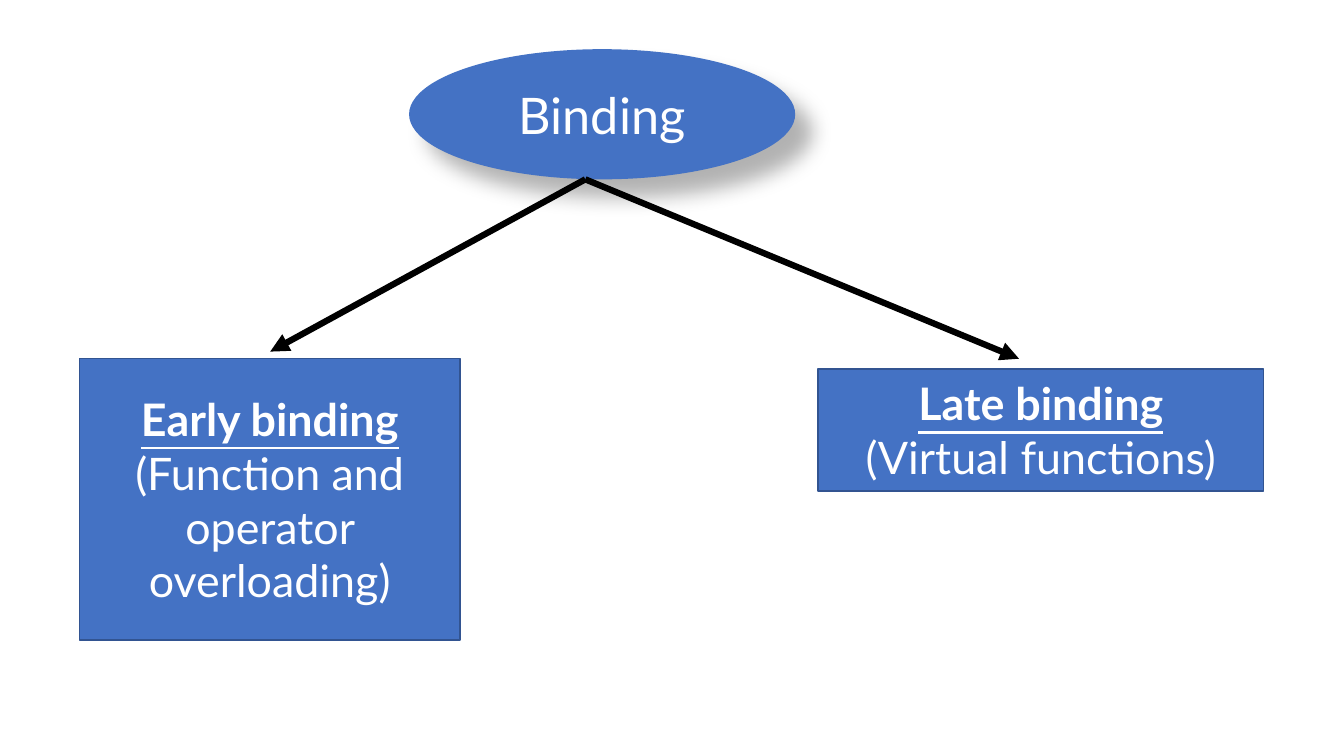
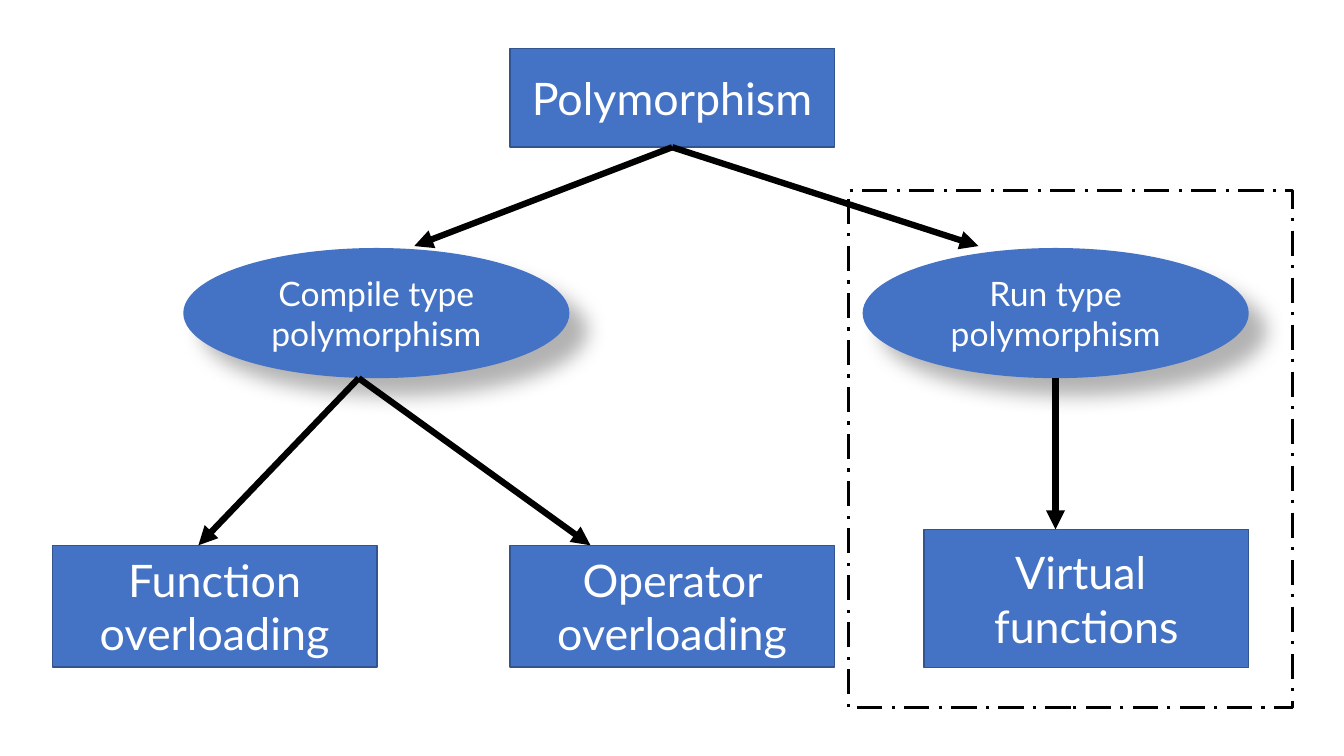
"""Build two slides on binding and polymorphism as tree diagrams."""
from dataclasses import dataclass

from lxml.etree import SubElement
from pptx import Presentation
from pptx.dml.color import RGBColor
from pptx.enum.dml import MSO_LINE
from pptx.enum.shapes import MSO_CONNECTOR, MSO_SHAPE
from pptx.enum.text import MSO_ANCHOR, PP_ALIGN
from pptx.oxml.ns import qn
from pptx.util import Cm, Pt


@dataclass(frozen=True)
class Theme:
    font: str = "Lato"
    fill: RGBColor = RGBColor(0x44, 0x72, 0xC4)
    outline: RGBColor = RGBColor(0x32, 0x54, 0x91)
    text: RGBColor = RGBColor(0xFF, 0xFF, 0xFF)
    ink: RGBColor = RGBColor(0, 0, 0)
    root_size: Pt = Pt(36)
    box_size: Pt = Pt(32)
    oval_size: Pt = Pt(24)
    outline_width: Pt = Pt(1)
    frame_width: Pt = Pt(2.25)
    arrow_width: Pt = Pt(4.5)


THEME = Theme()
OVAL_WIDTH, OVAL_HEIGHT = 9.73, 3.28
BOX_WIDTH, BOX_HEIGHT = 8.18, 3.07


def add_plain_shape(slide, kind, left, top, width, height):
    shape = slide.shapes.add_shape(kind, Cm(left), Cm(top), Cm(width), Cm(height))
    shape.shadow.inherit = False
    return shape


def fill_and_write(shape, lines, size):
    shape.fill.solid()
    shape.fill.fore_color.rgb = THEME.fill
    frame = shape.text_frame
    frame.word_wrap = True
    frame.vertical_anchor = MSO_ANCHOR.MIDDLE
    for index, line in enumerate(lines):
        paragraph = frame.add_paragraph() if index else frame.paragraphs[0]
        paragraph.add_run().text = line
        paragraph.alignment = PP_ALIGN.CENTER
        paragraph.font.name = THEME.font
        paragraph.font.size = size
        paragraph.font.color.rgb = THEME.text


def add_box(slide, lines, left, top, width=BOX_WIDTH, height=BOX_HEIGHT):
    box = add_plain_shape(slide, MSO_SHAPE.RECTANGLE, left, top, width, height)
    box.line.color.rgb = THEME.outline
    box.line.width = THEME.outline_width
    fill_and_write(box, lines, THEME.box_size)
    return box


def add_headed_box(slide, heading, detail, left, top, width, height):
    box = add_box(slide, [heading, detail], left, top, width, height)
    font = box.text_frame.paragraphs[0].font
    font.bold = font.underline = True


def add_oval(slide, text, left, top, size):
    oval = add_plain_shape(slide, MSO_SHAPE.OVAL, left, top, OVAL_WIDTH, OVAL_HEIGHT)
    oval.line.fill.background()
    fill_and_write(oval, [text], size)
    effects = oval._element.spPr.find(qn("a:effectLst"))
    shadow = SubElement(effects, qn("a:outerShdw"), blurRad=str(Pt(15)),
                        dist=str(Pt(18)), dir="2700000", algn="tl", rotWithShape="0")
    color = SubElement(shadow, qn("a:srgbClr"), val=str(THEME.ink))
    SubElement(color, qn("a:alpha"), val="30000")


def add_arrow(slide, start, end, source=None):
    arrow = slide.shapes.add_connector(MSO_CONNECTOR.STRAIGHT, *map(Cm, start + end))
    if source is not None:
        arrow.begin_connect(source, 2)
    arrow.line.color.rgb = THEME.ink
    arrow.line.width = THEME.arrow_width
    SubElement(arrow.line._get_or_add_ln(), qn("a:tailEnd"), type="triangle")
    SubElement(arrow._element.spPr, qn("a:effectLst"))


def add_dashed_frame(slide, left, top, width, height):
    frame = add_plain_shape(slide, MSO_SHAPE.RECTANGLE, left, top, width, height)
    frame.fill.background()
    frame.line.color.rgb = THEME.ink
    frame.line.width = THEME.frame_width
    frame.line.dash_style = MSO_LINE.LONG_DASH_DOT


def build_binding(slide):
    add_oval(slide, "Binding", 10.31, 1.24, THEME.root_size)
    add_headed_box(slide, "Early binding", "(Function and operator overloading)",
                   2.01, 9.04, 9.58, 7.09)
    add_headed_box(slide, "Late binding", "(Virtual functions)",
                   20.62, 9.3, 11.23, 3.07)
    for end in ((6.81, 8.86), (25.68, 9.04)):
        add_arrow(slide, (14.75, 4.52), end)


def build_polymorphism(slide):
    middle, oval_top, box_top = 12.85, 6.25, 13.74
    root = add_box(slide, ["Polymorphism"], middle, 1.22, height=2.49)
    add_oval(slide, "Compile type polymorphism", 4.62, oval_top, THEME.oval_size)
    add_oval(slide, "Run type polymorphism", 21.74, oval_top, THEME.oval_size)
    add_box(slide, ["Function overloading"], 1.32, box_top)
    add_box(slide, ["Operator overloading"], middle, box_top)
    add_box(slide, ["Virtual ", "functions"], 23.29, 13.34, height=3.48)
    for end in ((10.44, 6.2), (24.66, 6.2)):
        add_arrow(slide, (middle + BOX_WIDTH / 2, 3.71), end, root)
    for end in ((5, box_top), (14.88, box_top)):
        add_arrow(slide, (9.04, 9.53), end)
    add_arrow(slide, (26.6, 9.53), (26.6, 13.34))
    add_dashed_frame(slide, 21.39, 4.8, 11.18, 13.03)


def main():
    presentation = Presentation()
    presentation.slide_width = Cm(33.87)
    presentation.slide_height = Cm(19.05)
    blank_layout = presentation.slide_layouts[6]
    for build in (build_binding, build_polymorphism):
        build(presentation.slides.add_slide(blank_layout))
    presentation.save("out.pptx")


if __name__ == "__main__":
    main()
